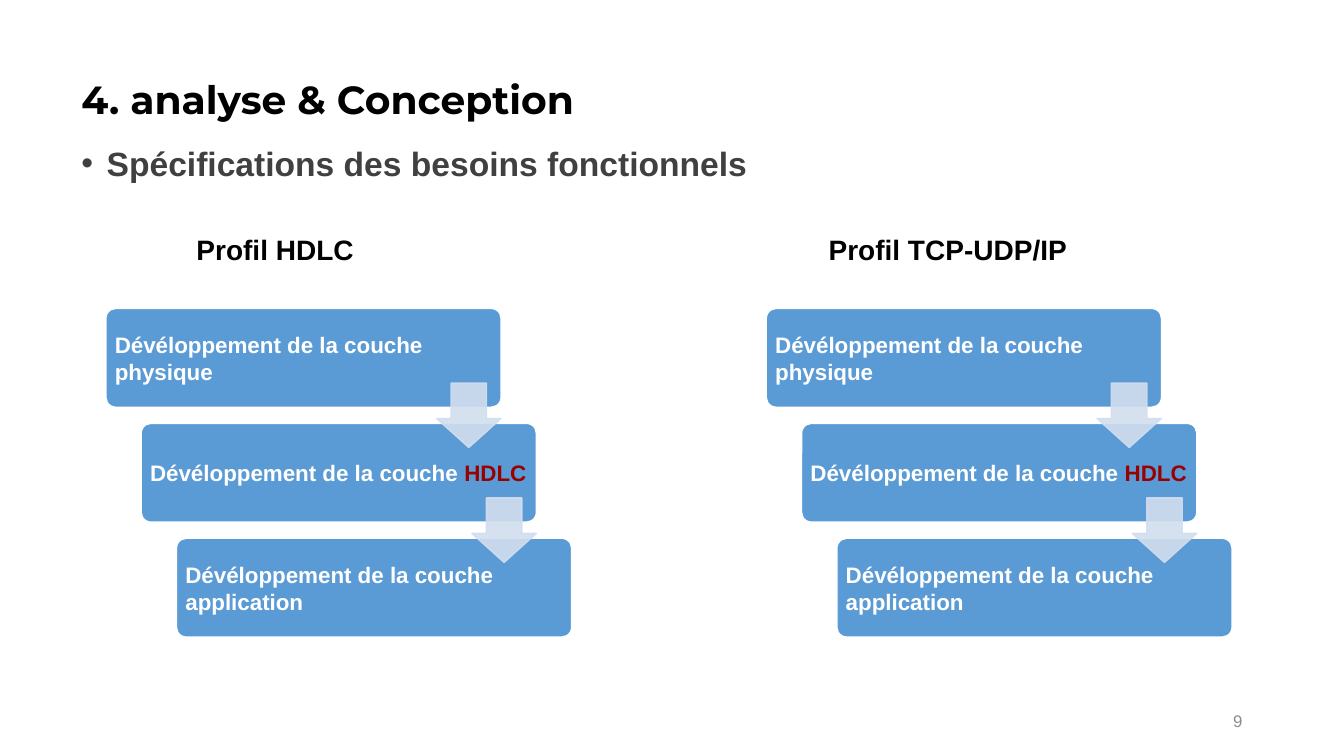
from lxml import etree
from pptx import Presentation
from pptx.dml.color import RGBColor
from pptx.enum import shapes, text
from pptx.oxml.ns import qn
from pptx.util import Inches, Pt

COLORS = {"black": "000000", "gray": "404040", "pale": "8C8C8C", "blue": "5B9BD5",
          "ice": "D2DEEF", "white": "FFFFFF", "red": "990000"}
TITLE = "4. analyse & Conception"
TOPIC = "Spécifications des besoins fonctionnels"
PAGE = "9"
STEPS = [
    [("Dévéloppement de la couche physique", "white")],
    [("Dévéloppement de la couche ", "white"), ("HDLC", "red")],
    [("Dévéloppement de la couche application", "white")],
]
PROFILES = [
    ("Profil HDLC", 1.85, 2.74, 1.05),
    ("Profil TCP-UDP/IP", 8.12, 3.06, 7.6),
]
TOP, WIDE, HIGH = 3.06, 3.92, 0.98
SHIFT, DROP, ARROW = 0.35, 1.14, 0.64


def rgb(name):
    return RGBColor.from_string(COLORS[name])


def write(shape, parts, size, font="Arial", bold=True, anchor=text.MSO_ANCHOR.TOP):
    frame = shape.text_frame
    frame.word_wrap = True
    frame.vertical_anchor = anchor
    para = frame.paragraphs[0]
    para.alignment = text.PP_ALIGN.LEFT
    for words, color in parts:
        run = para.add_run()
        run.text = words
        run.font.size, run.font.name, run.font.bold = Pt(size), font, bold
        run.font.color.rgb = rgb(color)
    return para


def label(slide, box, words, color, size, **style):
    shape = slide.shapes.add_textbox(*map(Inches, box))
    return write(shape, [(words, color)], size, **style)


def block(slide, kind, box, fill, line, adjust):
    shape = slide.shapes.add_shape(kind, *map(Inches, box))
    shape.shadow.inherit = False
    shape.fill.solid()
    shape.fill.fore_color.rgb = rgb(fill)
    shape.line.color.rgb = rgb(line)
    shape.line.width = Pt(1)
    for i, value in enumerate(adjust):
        shape.adjustments[i] = value
    return shape


def cascade(slide, left):
    for i, parts in enumerate(STEPS):
        box = (left + i * SHIFT, TOP + i * DROP, WIDE, HIGH)
        step = block(slide, shapes.MSO_SHAPE.ROUNDED_RECTANGLE, box, "blue", "white", [0.1])
        write(step, parts, 16, anchor=text.MSO_ANCHOR.MIDDLE)
        frame = step.text_frame
        frame.margin_left = frame.margin_right = Inches(0.06)
        frame.margin_top = frame.margin_bottom = Inches(0.06)
    for i in range(len(STEPS) - 1):
        box = (left + WIDE - ARROW + i * SHIFT, TOP + 0.74 + i * DROP, ARROW, ARROW)
        arrow = block(slide, shapes.MSO_SHAPE.DOWN_ARROW, box, "ice", "ice", [0.55, 0.45])
        for color in arrow._element.spPr.iter(qn("a:srgbClr")):
            etree.SubElement(color, qn("a:alpha")).set("val", "90000")


def main():
    deck = Presentation()
    deck.slide_width, deck.slide_height = Inches(13.33), Inches(7.5)
    slide = deck.slides.add_slide(deck.slide_layouts[6])

    title = label(slide, (0.71, 0.28, 11.5, 1.45), TITLE, "black", 28,
                  font="Montserrat", anchor=text.MSO_ANCHOR.MIDDLE)
    topic = label(slide, (0.71, 1.41, 11.5, 0.6), TOPIC, "gray", 24)
    title.line_spacing = topic.line_spacing = 0.9
    topic.space_before = Pt(10)
    props = topic._p.get_or_add_pPr()
    props.set("marL", str(Inches(0.25)))
    props.set("indent", str(-Inches(0.25)))
    etree.SubElement(props, qn("a:buFont")).set("typeface", "Arial")
    etree.SubElement(props, qn("a:buChar")).set("char", "•")

    for name, left, wide, start in PROFILES:
        label(slide, (left, 2.26, wide, 0.44), name, "black", 20)
        cascade(slide, start)

    page = label(slide, (9.42, 6.95, 3, 0.4), PAGE, "pale", 12,
                 bold=False, anchor=text.MSO_ANCHOR.MIDDLE)
    page.alignment = text.PP_ALIGN.RIGHT
    deck.save("out.pptx")


if __name__ == "__main__":
    main()
